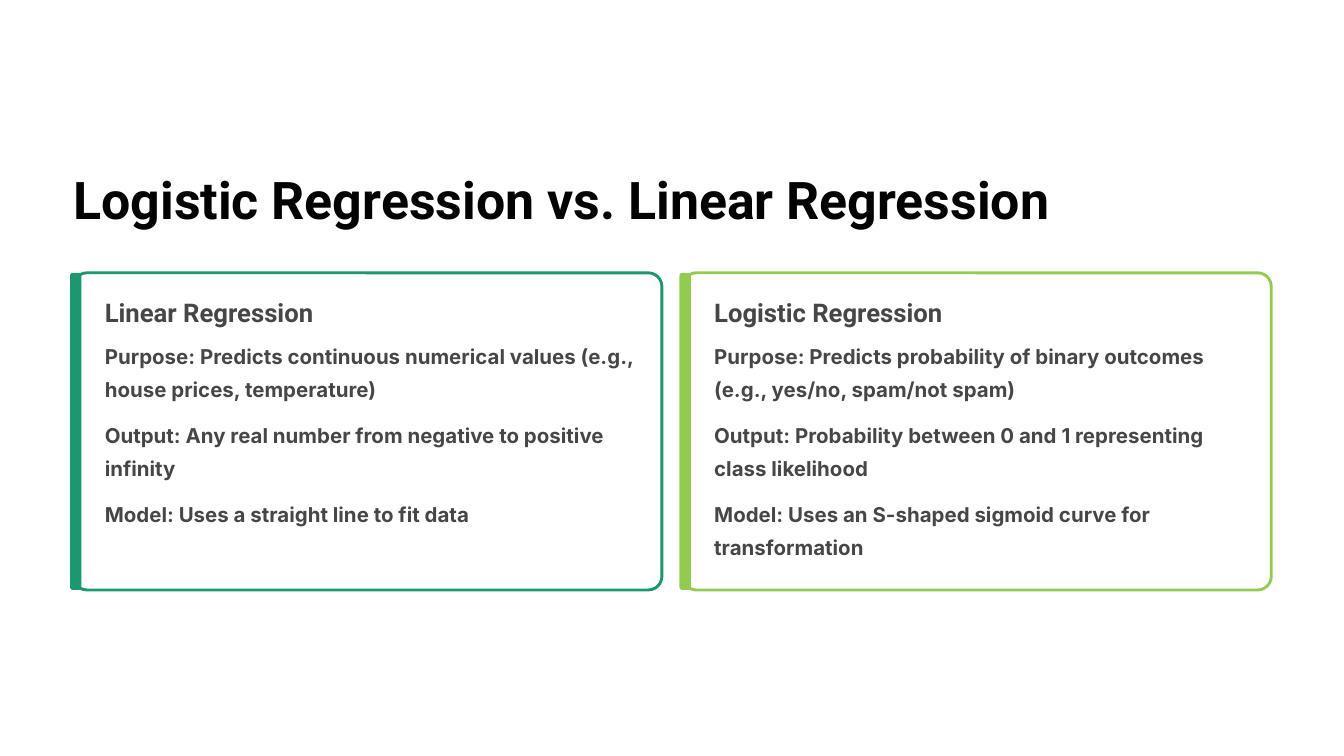
from pptx import Presentation
from pptx.dml.color import RGBColor
from pptx.enum.shapes import MSO_SHAPE
from pptx.enum.text import MSO_ANCHOR, MSO_AUTO_SIZE, PP_ALIGN
from pptx.util import Pt

COLORS = {
    "background": "FFFFFF",
    "title": "030303",
    "text": "464646",
    "linear": "1C9770",
    "logistic": "93CB52",
}
# font name, size, line spacing, colour
STYLES = {
    "title": ("Roboto", 55.6, 69.4, "title"),
    "heading": ("Roboto", 27.5, 34.4, "text"),
    "body": ("Inter", 21.9, 35.6, "text"),
}
PARAGRAPH_GAP = 13.4
CARD_LEFT, CARD_TOP, CARD_WIDTH, CARD_HEIGHT = 78.5, 292.3, 630.7, 339.8
CARD_PITCH = 652.9
TEXT_INSET = 33.8

CARDS = [
    ("linear", "Linear Regression", [
        "Purpose: Predicts continuous numerical values (e.g., house prices, temperature)",
        "Output: Any real number from negative to positive infinity",
        "Model: Uses a straight line to fit data",
    ]),
    ("logistic", "Logistic Regression", [
        "Purpose: Predicts probability of binary outcomes (e.g., yes/no, spam/not spam)",
        "Output: Probability between 0 and 1 representing class likelihood",
        "Model: Uses an S-shaped sigmoid curve for transformation",
    ]),
]


def color(name):
    return RGBColor.from_string(COLORS[name])


class ComparisonSlide:
    def __init__(self, slide):
        self.slide = slide
        self.placeholders = {
            placeholder.placeholder_format.idx: placeholder
            for placeholder in slide.placeholders
        }
        fill = slide.background.fill
        fill.solid()
        fill.fore_color.rgb = color("background")

    def text(self, index, style, texts, left, top, width, height):
        """Fill a placeholder and bring it in front of the shapes drawn so far."""
        shape = self.placeholders[index]
        shape.left, shape.top, shape.width, shape.height = map(Pt, (left, top, width, height))
        shape.element.getparent().append(shape.element)
        frame = shape.text_frame
        frame.word_wrap = True
        frame.auto_size = MSO_AUTO_SIZE.NONE
        frame.vertical_anchor = MSO_ANCHOR.TOP
        frame.margin_left = frame.margin_top = frame.margin_right = frame.margin_bottom = 0
        font_name, size, line_spacing, color_name = STYLES[style]
        for number, text in enumerate(texts):
            paragraph = frame.add_paragraph() if number else frame.paragraphs[0]
            properties = paragraph._p.get_or_add_pPr()
            properties.set("marL", "0")
            properties.set("indent", "0")
            paragraph.alignment = PP_ALIGN.LEFT
            paragraph.line_spacing = Pt(line_spacing)
            paragraph.space_before = Pt(PARAGRAPH_GAP if number else 0)
            paragraph.space_after = Pt(0)
            properties.append(properties.makeelement(
                "{http://schemas.openxmlformats.org/drawingml/2006/main}buNone", {}))
            run = paragraph.add_run()
            run.text = text
            run.font.name = font_name
            run.font.size = Pt(size)
            run.font.bold = True
            run.font.color.rgb = color(color_name)

    def rounded_box(self, left, top, width, height, radius, fill, line=None):
        shape = self.slide.shapes.add_shape(
            MSO_SHAPE.ROUNDED_RECTANGLE, Pt(left), Pt(top), Pt(width), Pt(height))
        shape.shadow.inherit = False
        shape.adjustments[0] = radius / min(width, height)
        shape.fill.solid()
        shape.fill.fore_color.rgb = color(fill)
        if line:
            shape.line.color.rgb = color(line)
            shape.line.width = Pt(3.1)
        else:
            shape.line.fill.background()

    def card(self, column, accent, heading, points):
        left = CARD_LEFT + column * CARD_PITCH
        self.rounded_box(left, CARD_TOP, CARD_WIDTH, CARD_HEIGHT, 14.6, "background", accent)
        self.rounded_box(left - 3.4, CARD_TOP, 12.2, CARD_HEIGHT, 3.1, accent)
        text_left = left + TEXT_INSET
        heading_index = 1 + 2 * column
        self.text(heading_index, "heading", [heading], text_left, 316.8, 571, 35.3)
        self.text(heading_index + 1, "body", points, text_left, 359.3, 571, 247.7)


def main():
    presentation = Presentation()
    presentation.slide_width, presentation.slide_height = Pt(1440), Pt(810)
    comparison_layout = presentation.slide_layouts[4]
    page = ComparisonSlide(presentation.slides.add_slide(comparison_layout))
    page.text(0, "title", ["Logistic Regression vs. Linear Regression"],
              CARD_LEFT, 176.4, 1088, 71.3)
    for column, (accent, heading, points) in enumerate(CARDS):
        page.card(column, accent, heading, points)
    presentation.save("out.pptx")


if __name__ == "__main__":
    main()
